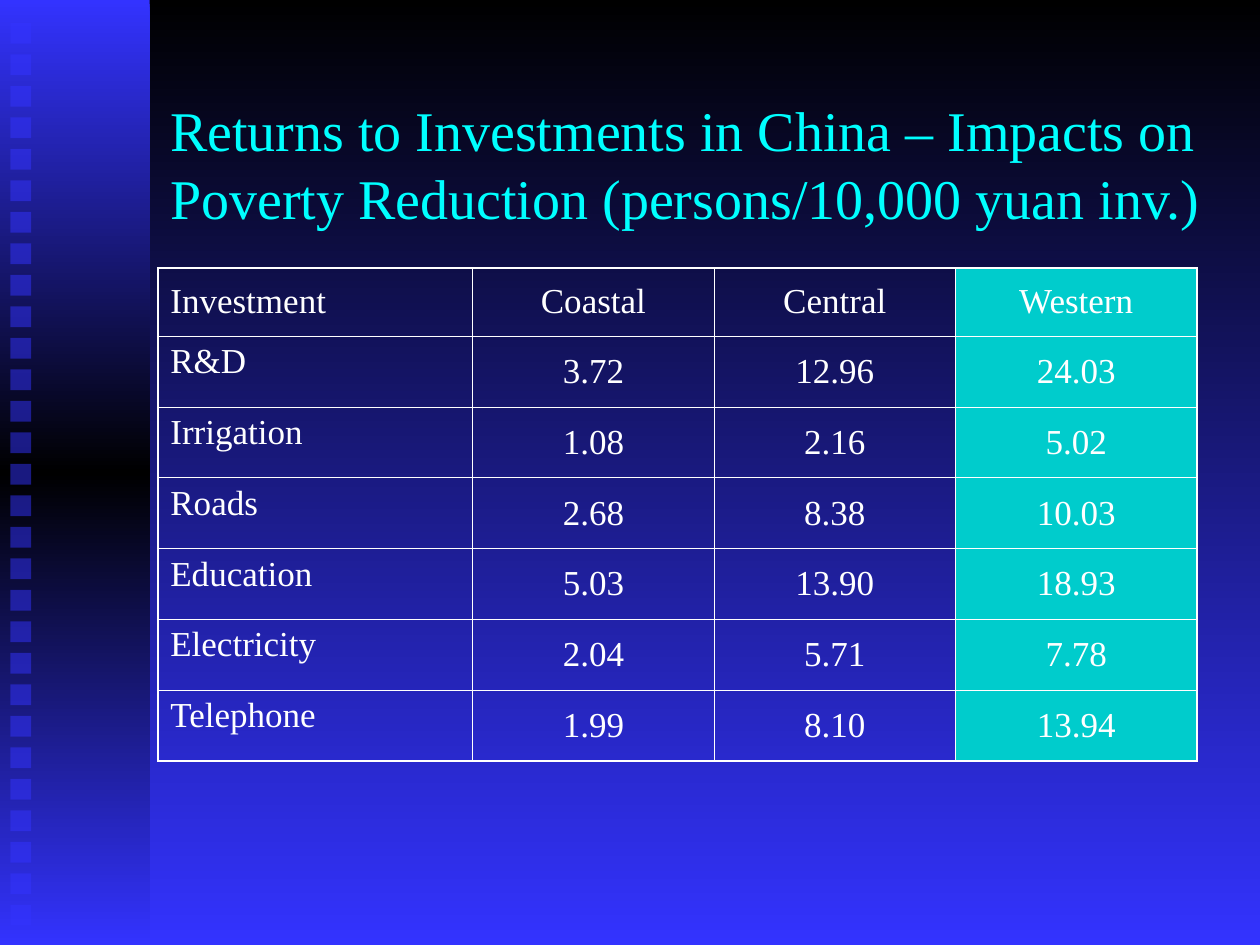
from lxml.etree import SubElement as Sub
from pptx import Presentation
from pptx.dml.color import RGBColor
from pptx.enum.shapes import MSO_SHAPE as Shape
from pptx.enum.text import MSO_ANCHOR as Anchor, PP_ALIGN as Align
from pptx.oxml.ns import qn
from pptx.util import Cm, Pt

BLACK = RGBColor(0x00, 0x00, 0x00)
BLUE = RGBColor(0x33, 0x33, 0xFF)
CYAN = RGBColor(0x00, 0xFF, 0xFF)
TEAL = RGBColor(0x00, 0xCC, 0xCC)
WHITE = RGBColor(0xFF, 0xFF, 0xFF)

TITLE = ("Returns to Investments in China – Impacts on "
         "Poverty Reduction (persons/10,000 yuan inv.)")
ROWS = [
    ("Investment", "Coastal", "Central", "Western"),
    ("R&D", "3.72", "12.96", "24.03"),
    ("Irrigation", "1.08", "2.16", "5.02"),
    ("Roads", "2.68", "8.38", "10.03"),
    ("Education", "5.03", "13.90", "18.93"),
    ("Electricity", "2.04", "5.71", "7.78"),
    ("Telephone", "1.99", "8.10", "13.94"),
]
THIN, THICK = Pt(0.45), Pt(1.08)


def style(font, size, color):
    form = {"name": "Times New Roman", "size": Pt(size)}
    for key, val in form.items():
        setattr(font, key, val)
    font.color.rgb = color


def shade(fill, root, colors):
    """Vertical gradient with evenly spaced colours."""
    fill.gradient()
    fill.gradient_angle = 270
    stops = next(root.iter(qn("a:gsLst")))
    for old in list(stops):
        stops.remove(old)
    for i, color in enumerate(colors):
        pos = 100000 * i // (len(colors) - 1)
        stop = Sub(stops, qn("a:gs"), pos=str(pos))
        Sub(stop, qn("a:srgbClr"), val=str(color))


def block(group, left, top, width, height):
    rect = group.shapes.add_shape(
        Shape.RECTANGLE, Cm(left), Cm(top), Cm(width), Cm(height))
    rect.shadow.inherit = False
    rect.line.fill.background()
    return rect


def side(slide, left, top, width, height):
    """Shaded band with a column of translucent squares."""
    group = slide.shapes.add_group_shape()
    band = block(group, left, top, width, height)
    shade(band.fill, band._element, (BLUE, BLACK, BLUE))
    size, count = 0.42, 29
    step = height / (count + 1)
    for i in range(count):
        dot = block(group, left + 0.21, top + 0.46 + i * step, size, size)
        dot.fill.solid()
        dot.fill.fore_color.rgb = BLUE
        tint = next(dot._element.spPr.iter(qn("a:srgbClr")))
        Sub(tint, qn("a:alpha"), val="50000")


def title(slide, left, top, width, height):
    box = slide.shapes.add_textbox(Cm(left), Cm(top), Cm(width), Cm(height))
    frame = box.text_frame
    form = {"word_wrap": True, "vertical_anchor": Anchor.MIDDLE, "text": TITLE}
    for key, val in form.items():
        setattr(frame, key, val)
    style(frame.paragraphs[0].runs[0].font, 32, CYAN)


def border(cell, edges):
    """Edge lines go ahead of the cell fill, as the schema wants."""
    props = cell._tc.get_or_add_tcPr()
    for i, (tag, wide) in enumerate(edges.items()):
        line = Sub(props, qn("a:" + tag), w=str(wide))
        paint = Sub(line, qn("a:solidFill"))
        Sub(paint, qn("a:srgbClr"), val=str(WHITE))
        props.insert(i, line)


def grid(slide, left, top, width, height):
    rows, cols = len(ROWS), len(ROWS[0])
    table = slide.shapes.add_table(
        rows, cols, Cm(left), Cm(top), Cm(width), Cm(height)).table
    for key in ("first_row", "horz_banding"):
        setattr(table, key, False)

    # A wide label column and a slightly lower header row
    label, head = 6.35, 1.38
    for c, col in enumerate(table.columns):
        col.width = Cm((width - label) / (cols - 1) if c else label)
    for r, row in enumerate(table.rows):
        row.height = Cm((height - head) / (rows - 1) if r else head)

    for r, row in enumerate(ROWS):
        for c, text in enumerate(row):
            cell = table.cell(r, c)
            cell.text = text
            cell.vertical_anchor = Anchor.TOP if r and not c else Anchor.MIDDLE
            para = cell.text_frame.paragraphs[0]
            para.alignment = Align.CENTER if c else Align.LEFT
            style(para.runs[0].font, 20, WHITE)
            if c == cols - 1:
                cell.fill.solid()
                cell.fill.fore_color.rgb = TEAL
            else:
                cell.fill.background()
            border(cell, {
                "lnL": THIN if c else THICK,
                "lnR": THIN if c < cols - 1 else THICK,
                "lnT": THIN if r else THICK,
                "lnB": THIN if r < rows - 1 else THICK,
            })


def main():
    deck = Presentation()
    deck.slide_width, deck.slide_height = Cm(25.4), Cm(19.05)
    slide = deck.slides.add_slide(deck.slide_layouts[6])
    shade(slide.background.fill, slide._element, (BLACK, BLUE))
    side(slide, 0, 0, 3.02, 19.05)
    title(slide, 3.18, 1.7, 22.22, 3.18)
    grid(slide, 3.18, 5.4, 20.95, 9.94)
    deck.save("out.pptx")


if __name__ == "__main__":
    main()
